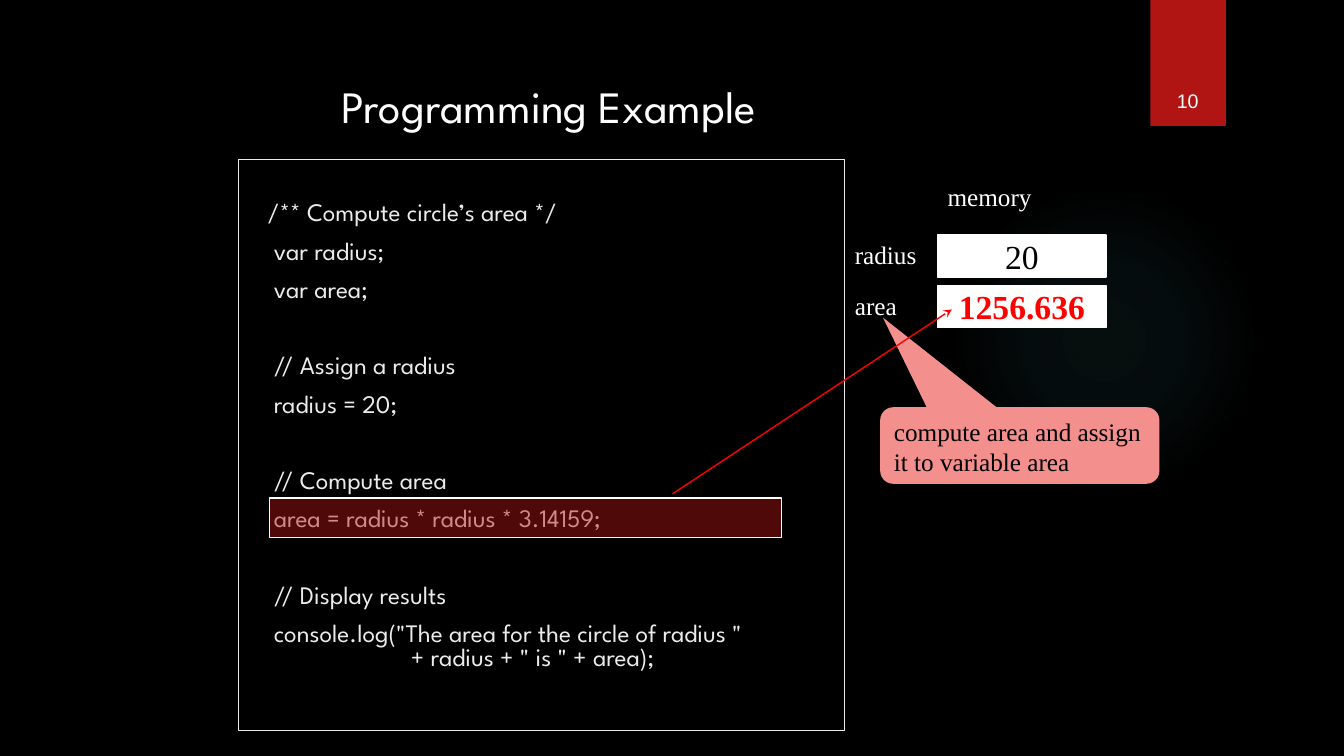
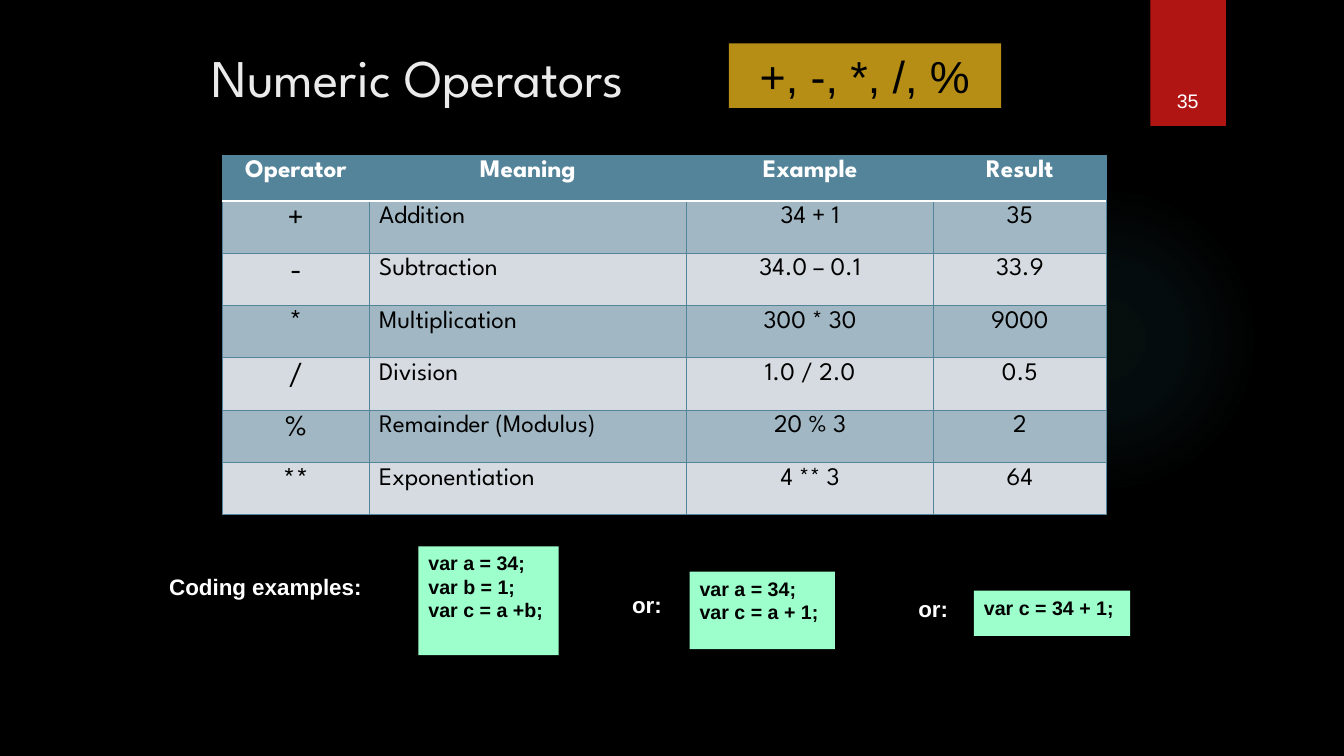
from lxml.etree import SubElement as Sub
from pptx import Presentation
from pptx.dml.color import RGBColor as RGB
from pptx.enum.shapes import MSO_CONNECTOR as Conn, MSO_SHAPE as Kind
from pptx.enum.text import MSO_ANCHOR as Anchor, PP_ALIGN as Align
from pptx.oxml.ns import qn
from pptx.util import Emu, Pt

# Style
SCALE = 9144  # 100 px to the inch
BLACK = RGB(0x00, 0x00, 0x00)
WHITE = RGB(0xFF, 0xFF, 0xFF)
PALE = RGB(0xEB, 0xEB, 0xEB)
RED = RGB(0xFF, 0x00, 0x00)
BAND = RGB(0xB0, 0x15, 0x13)
TEAL = RGB(0x50, 0xB9, 0xC1)
PINK = RGB(0xF3, 0x8F, 0x8D)
GOLD = RGB(0xB6, 0x8E, 0x15)
MINT = RGB(0x9D, 0xFF, 0xCB)
STEEL = RGB(0x54, 0x84, 0x9A)
DARK_ROW = RGB(0xA1, 0xB7, 0xC3)
LIGHT_ROW = RGB(0xD5, 0xDB, 0xE1)
SPARTAN, ARIAL, TIMES = "League Spartan", "Arial", "Times New Roman"


def px(size):
    return Emu(size * SCALE)


def tint(node, color, alpha=None):
    clr = Sub(node, qn("a:srgbClr"), val=str(color))
    if alpha is not None:
        Sub(clr, qn("a:alpha"), val=str(alpha * 1000))


class Deck:
    def __init__(self):
        self.prs = Presentation()
        self.prs.slide_width, self.prs.slide_height = px(1333), px(750)
        self.slide = None

    def page(self, number):
        """Start a slide with its glow, red band and number."""
        self.slide = self.prs.slides.add_slide(self.prs.slide_layouts[6])
        fill = self.slide.background.fill
        fill.solid()
        fill.fore_color.rgb = BLACK
        self.glow((941, 183, 308, 308))
        self.shape((1141, 0, 75, 125), BAND)
        self.text((1132, 32, 92, 84), [str(number)], ARIAL, 14, WHITE,
                  align=Align.CENTER, anchor=Anchor.BOTTOM)

    def glow(self, box):
        props = self.shape(box, TEAL, kind=Kind.OVAL)._element.spPr
        old = props.find(qn("a:solidFill"))
        grad = props.makeelement(qn("a:gradFill"), {"rotWithShape": "1"})
        props.replace(old, grad)
        stops = Sub(grad, qn("a:gsLst"))
        for pos, alpha in ((0, 7), (36, 6), (69, 0)):
            tint(Sub(stops, qn("a:gs"), pos=str(pos * 1000)), TEAL, alpha)
        focus = Sub(grad, qn("a:path"), path="circle")
        Sub(focus, qn("a:fillToRect"), {side: "50000" for side in "ltrb"})

    def shape(self, box, fill, edge=None, width=1, kind=Kind.RECTANGLE, alpha=None):
        shape = self.slide.shapes.add_shape(kind, *map(px, box))
        shape.shadow.inherit = False
        shape.fill.solid()
        shape.fill.fore_color.rgb = fill
        if alpha is not None:
            clr = shape._element.spPr.find(qn("a:solidFill"))[0]
            Sub(clr, qn("a:alpha"), val=str(alpha * 1000))
        if edge is None:
            shape.line.fill.background()
        else:
            shape.line.color.rgb = edge
            shape.line.width = Pt(width)
        return shape

    def text(self, box, lines, font, size, color, **style):
        area = self.slide.shapes.add_textbox(*map(px, box))
        self.letter(area, lines, font, size, color, **style)

    def letter(self, area, lines, font, size, color, bold=False,
               align=Align.LEFT, anchor=Anchor.TOP):
        """Fill a shape, text box or cell, one run to a paragraph."""
        frame = area.text_frame
        frame.word_wrap = True
        frame.vertical_anchor = anchor
        for i, line in enumerate(lines):
            para = frame.add_paragraph() if i else frame.paragraphs[0]
            para.alignment = align
            run = para.add_run()
            run.text = line
            run.font.name, run.font.size = font, Pt(size)
            run.font.bold = bold
            run.font.color.rgb = color
        return frame

    def title(self, box, words, size, color):
        self.text(box, [words], SPARTAN, size, color)

    def code(self, box, rows):
        """Rows are pairs of space before and code line."""
        area = self.shape(box, BLACK, PALE, 0.75)
        frame = self.letter(area, [line for _, line in rows], SPARTAN, 18, PALE)
        frame.margin_top = px(43)
        for para, (space, _) in zip(frame.paragraphs, rows):
            para.line_spacing = 0.8
            para.space_before = Pt(space)
            props = para._p.get_or_add_pPr()
            props.set("marL", str(px(38)))
            props.set("indent", str(px(-38)))

    def arrow(self, start, end, color):
        line = self.slide.shapes.add_connector(
            Conn.STRAIGHT, *map(px, start + end))
        line.line.color.rgb = color
        line.line.width = Pt(1)
        Sub(line.get_or_add_ln(), qn("a:tailEnd"), type="stealth")
        Sub(line._element.spPr, qn("a:effectLst"))

    def table(self, spot, cols, highs, rows):
        box = spot + (sum(cols), sum(highs))
        grid = self.slide.shapes.add_table(
            len(rows), len(cols), *map(px, box)).table
        for col, width in zip(grid.columns, cols):
            col.width = px(width)
        for r, row in enumerate(rows):
            grid.rows[r].height = px(highs[r])
            for c, words in enumerate(row):
                self.cell(grid.cell(r, c), words, r, c)

    def cell(self, cell, words, r, c):
        head = r == 0
        props = cell._tc.get_or_add_tcPr()
        for side in "LRTB":
            rule = (head and side == "B") or (r == 1 and side == "T")
            edge = Sub(props, qn("a:ln" + side), w=str(Pt(1.5 if rule else 0.75)))
            tint(Sub(edge, qn("a:solidFill")), WHITE if rule else STEEL)
        cell.fill.solid()
        cell.fill.fore_color.rgb = (
            STEEL if head else DARK_ROW if r % 2 else LIGHT_ROW)
        self.letter(cell, [words], SPARTAN, 22 if c == 0 and not head else 18,
                    WHITE if head else BLACK, bold=head,
                    align=Align.LEFT if c == 1 and not head else Align.CENTER)


def example(deck):
    deck.page(10)

    # Memory cells
    deck.text((930, 175, 158, 40), ["memory"], TIMES, 18, WHITE)
    cells = (("radius", "20", BLACK, False), ("area", "1256.636", RED, True))
    for i, (name, value, color, bold) in enumerate(cells):
        top = 233 + 50 * i
        deck.text((838, top, 92, 40), [name], TIMES, 18, WHITE)
        slot = deck.shape((930, top, 167, 42), WHITE, WHITE)
        deck.letter(slot, [value], TIMES, 24, color, bold,
                    Align.CENTER, Anchor.MIDDLE)

    # Callout
    note = deck.shape((873, 404, 277, 76), PINK,
                      kind=Kind.ROUNDED_RECTANGULAR_CALLOUT)
    for i, value in enumerate((-0.49, -1.67, 0.17)):
        note.adjustments[i] = value
    deck.letter(note, ["compute area and assign it to variable area"],
                TIMES, 18, BLACK)

    # Code, with wider space before each block
    step, block = 10, 37.4
    deck.code((237, 158, 601, 567), (
        (0, "   /** Compute circle’s area */"),
        (step, "    var radius;"),
        (step, "    var area;"),
        (block, "    // Assign a radius"),
        (step, "    radius = 20;"),
        (block, "    // Compute area"),
        (step, "    area = radius * radius * 3.14159;"),
        (block, "    // Display results"),
        (step, '    console.log("The area for the circle of radius "'),
        (0, '                          + radius + " is " + area);'),
    ))
    deck.shape((267, 494, 508, 39), BAND, WHITE, alpha=45)
    deck.arrow((667, 490), (944, 307), RED)
    deck.title((329, 73, 808, 67), "Programming Example", 32, WHITE)


def numeric(deck):
    deck.page(35)
    deck.title((200, 39, 850, 62), "Numeric Operators", 37.8, PALE)
    signs = deck.shape((723, 43, 270, 64), GOLD)
    deck.letter(signs, ["+, -, *, /, %"], ARIAL, 32, BLACK, align=Align.CENTER)

    # Coding examples
    labels = (
        ((158, 564, 221, 50), "Coding examples:"),
        ((617, 582, 52, 50), "or:"),
        ((901, 586, 52, 50), "or:"),
    )
    for box, words in labels:
        deck.text(box, [words], ARIAL, 16, WHITE, bold=True)
    cards = (
        ((415, 542, 139, 108), ("var a = 34;", "var b = 1;", "var c = a +b;")),
        ((684, 567, 144, 77), ("var a = 34;", "var c = a + 1;")),
        ((966, 586, 155, 45), ("var c = 34 + 1;",)),
    )
    for box, lines in cards:
        deck.letter(deck.shape(box, MINT), lines, ARIAL, 14, BLACK, bold=True)

    # Operators
    deck.table((221, 154), (145, 315, 245, 171), [45] + [52] * 6, (
        ("Operator", "Meaning", "Example", "Result"),
        ("+", "Addition", "34 + 1", "35"),
        ("-", "Subtraction", "34.0 – 0.1", "33.9"),
        ("*", "Multiplication", "300 * 30", "9000"),
        ("/", "Division", "1.0 / 2.0", "0.5"),
        ("%", "Remainder (Modulus)", "20 % 3", "2"),
        ("**", "Exponentiation", "4 ** 3", "64"),
    ))


def main():
    deck = Deck()
    example(deck)
    numeric(deck)
    deck.prs.save("out.pptx")


if __name__ == "__main__":
    main()
